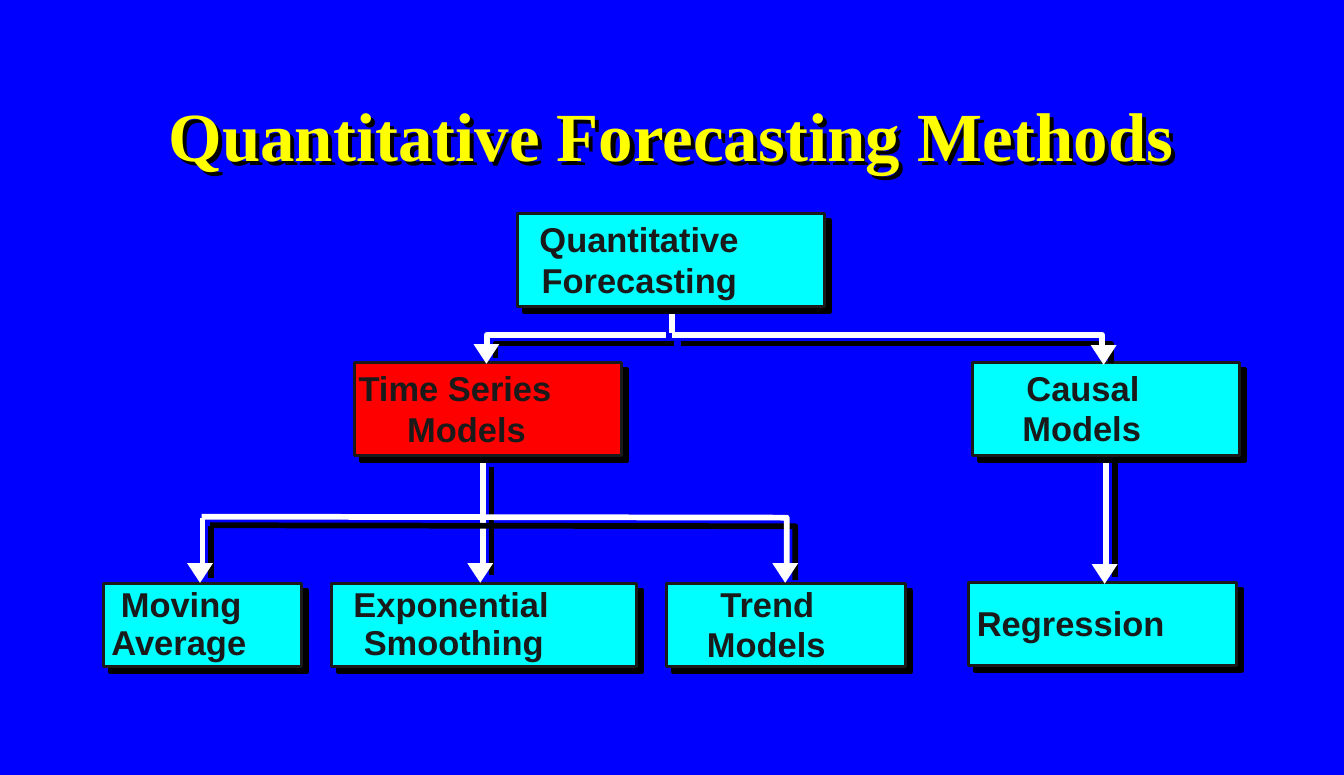
from lxml.etree import SubElement
from pptx import Presentation
from pptx.dml.color import RGBColor
from pptx.enum.shapes import MSO_CONNECTOR, MSO_SHAPE
from pptx.enum.text import MSO_ANCHOR, MSO_AUTO_SIZE, PP_ALIGN
from pptx.oxml import parse_xml
from pptx.oxml.ns import nsdecls, qn
from pptx.util import Inches, Pt

COLORS = {
    "background": "0000FF", "title": "FFFF00", "text": "1A1A1A", "shadow": "000000",
    "box": "00FFFF", "highlight": "FF0000", "line": "FFFFFF",
}


def write_text(shape, text, font="Arial", size=24, color="text",
               align=PP_ALIGN.LEFT, anchor=MSO_ANCHOR.TOP, wrap=False):
    frame = shape.text_frame
    frame.word_wrap = wrap
    frame.vertical_anchor = anchor
    paragraph = frame.paragraphs[0]
    paragraph.alignment = align
    run = paragraph.add_run()
    run.text = text
    run.font.name = font
    run.font.size = Pt(size)
    run.font.bold = True
    run.font.color.rgb = RGBColor.from_string(COLORS[color])


def set_shadow(shape, distance=0):
    """Set a hard shadow to the lower right, or none when distance is 0."""
    effects = parse_xml(f"<a:effectLst {nsdecls('a')}/>")
    if distance:
        shadow = SubElement(effects, qn("a:outerShdw"), dist=str(Pt(distance)),
                            dir="2700000", algn="ctr", rotWithShape="0")
        SubElement(shadow, qn("a:srgbClr"), val=COLORS["shadow"])
    shape._element.spPr.append(effects)


presentation = Presentation()
presentation.slide_width = Inches(13)
presentation.slide_height = Inches(7.5)
slide = presentation.slides.add_slide(presentation.slide_layouts[5])
slide.background.fill.solid()
slide.background.fill.fore_color.rgb = RGBColor.from_string(COLORS["background"])

# Title, without fill so that the shadow falls from its letters
title = slide.shapes.title
title.left, title.top, title.width, title.height = map(Inches, (0.97, 0.67, 11.05, 1.25))
write_text(title, "Quantitative Forecasting Methods", font="Times New Roman", size=48,
           color="title", align=PP_ALIGN.CENTER, anchor=MSO_ANCHOR.MIDDLE, wrap=True)
title.fill.background()
set_shadow(title, 4)

# Straight stems: x, top, bottom, shadow distance
stems = [(4.67, 4.44, 5.48, 8.5), (10.7, 4.36, 5.5, 8.5),
         (1.96, 5.01, 5.51, 8.5), (6.5, 3, 3.22, 0)]
for x, top, bottom, distance in stems:
    stem = slide.shapes.add_connector(MSO_CONNECTOR.STRAIGHT, Inches(x), Inches(top),
                                      Inches(x), Inches(bottom))
    stem.line.color.rgb = RGBColor.from_string(COLORS["line"])
    stem.line.width = Pt(4)
    set_shadow(stem, distance)

# Boxes: left, top, width, height, fill, label lines (text, left, top, width)
boxes = [
    (9.41, 3.51, 2.58, 0.9, "box", [("Causal", 9.83, 3.5, 1.3), ("Models", 9.79, 3.89, 1.36)]),
    (5.01, 2.07, 2.97, 0.9, "box",
     [("Quantitative", 5.12, 2.06, 2.14), ("Forecasting", 5.14, 2.46, 2.11)]),
    (3.43, 3.51, 2.58, 0.9, "highlight",
     [("Time Series", 3.37, 3.5, 3.13), ("Models", 3.84, 3.9, 1.36)]),
    (9.37, 5.64, 2.59, 0.8, "box", [("Regression", 9.35, 5.78, 2.03)]),
    (3.21, 5.65, 2.95, 0.8, "box",
     [("Exponential", 3.32, 5.59, 2.11), ("Smoothing", 3.42, 5.96, 1.95)]),
    (6.45, 5.65, 2.31, 0.8, "box", [("Trend", 6.87, 5.59, 1.12), ("Models", 6.74, 5.98, 1.36)]),
    (1, 5.65, 1.92, 0.8, "box", [("Moving", 1.07, 5.59, 1.38), ("Average", 0.98, 5.96, 1.52)]),
]
for left, top, width, height, fill, labels in boxes:
    box = slide.shapes.add_shape(MSO_SHAPE.RECTANGLE, Inches(left), Inches(top),
                                 Inches(width), Inches(height))
    box.fill.solid()
    box.fill.fore_color.rgb = RGBColor.from_string(COLORS[fill])
    box.line.color.rgb = RGBColor.from_string(COLORS["text"])
    box.line.width = Pt(2)
    set_shadow(box, 5.7)
    for text, label_left, label_top, label_width in labels:
        label = slide.shapes.add_textbox(Inches(label_left), Inches(label_top),
                                         Inches(label_width), Inches(0.5))
        write_text(label, text, wrap=" " in text)
        label.text_frame.auto_size = MSO_AUTO_SIZE.SHAPE_TO_FIT_TEXT

# Branches with a corner
branches = [
    [(6.5, 3.24), (10.66, 3.24), (10.66, 3.43)],
    [(6.44, 3.24), (4.71, 3.24), (4.71, 3.38)],
    [(1.95, 5), (7.61, 5.01), (7.61, 5.53)],
]
for points in branches:
    start, *rest = [(Inches(x), Inches(y)) for x, y in points]
    builder = slide.shapes.build_freeform(*start)
    builder.add_line_segments(rest, close=False)
    branch = builder.convert_to_shape()
    branch.fill.background()
    branch.line.color.rgb = RGBColor.from_string(COLORS["line"])
    branch.line.width = Pt(4)
    set_shadow(branch, 8.5)

# Arrowheads pointing down: left, top
for left, top in [(10.56, 5.46), (10.55, 3.34), (4.52, 5.45),
                  (1.81, 5.45), (4.58, 3.33), (7.47, 5.45)]:
    arrowhead = slide.shapes.add_shape(MSO_SHAPE.FLOWCHART_MERGE, Inches(left), Inches(top),
                                       Inches(0.25), Inches(0.19))
    arrowhead.fill.solid()
    arrowhead.fill.fore_color.rgb = RGBColor.from_string(COLORS["line"])
    arrowhead.line.fill.background()
    set_shadow(arrowhead)

presentation.save("out.pptx")
